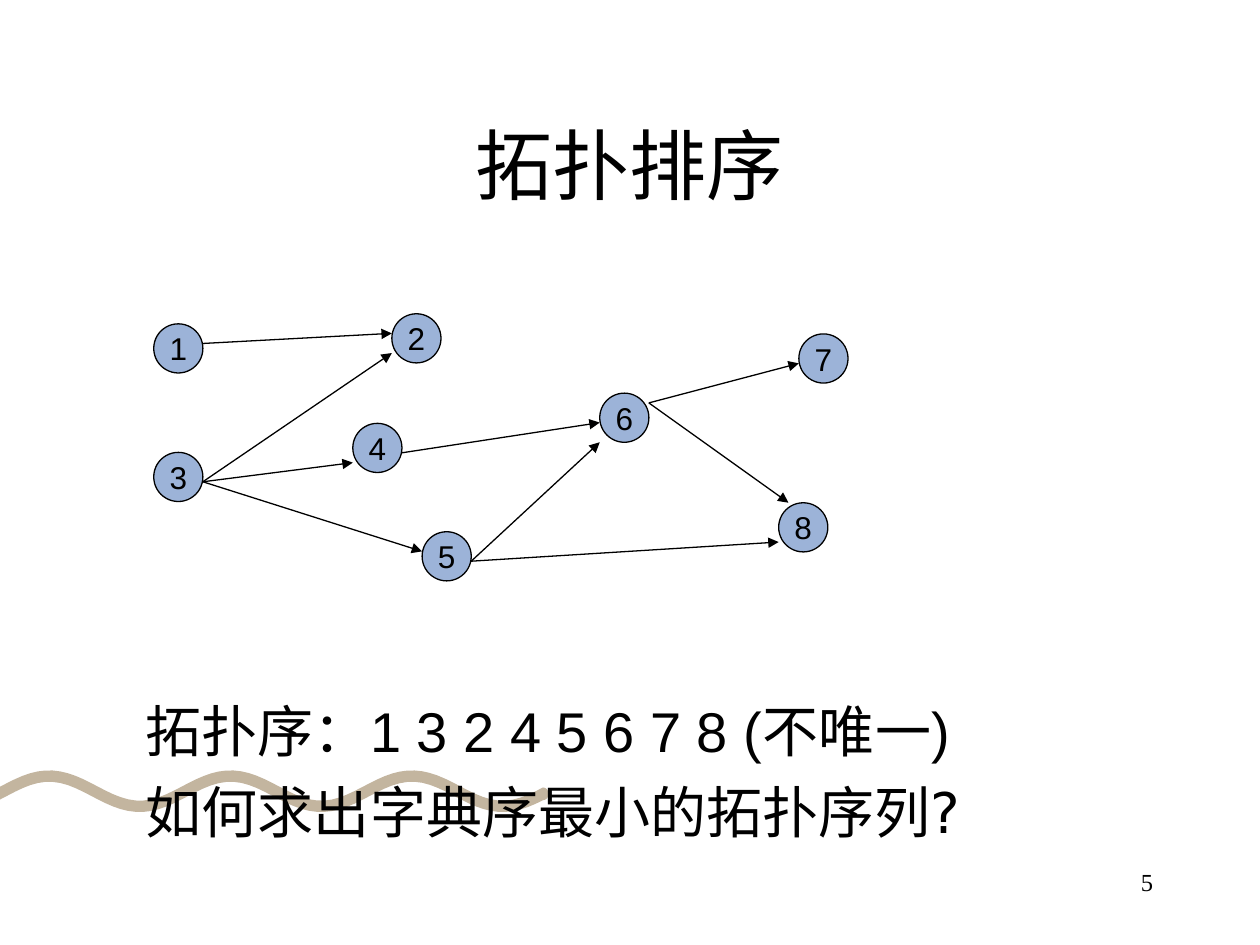
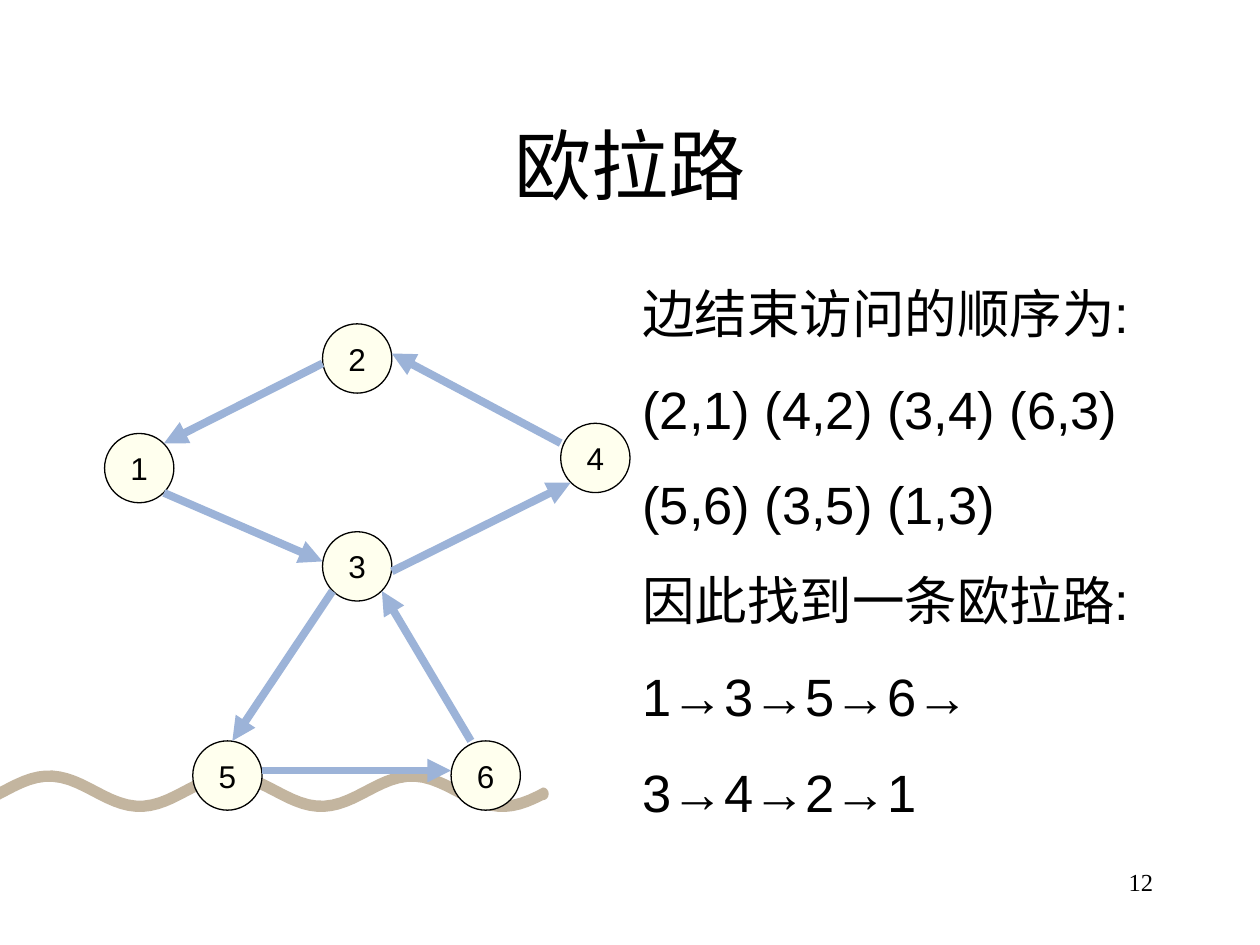
import math
from dataclasses import dataclass

from lxml import etree
from pptx import Presentation
from pptx.dml.color import RGBColor
from pptx.enum import shapes, text
from pptx.oxml import ns
from pptx.util import Inches, Pt

BLACK = RGBColor(0x00, 0x00, 0x00)
BLUE = RGBColor(0x9C, 0xB3, 0xD8)
CREAM = RGBColor(0xFF, 0xFF, 0xEE)
SAND = RGBColor(0xC3, 0xB5, 0x9F)

BODY_FONT = "Arial"
TITLE_FONT = "DejaVu Sans"
NUMBER_FONT = "Times New Roman"

# The wave is a cosine band; lengths in inches
WAVE_LEVEL = 6.28
WAVE_HEIGHT = 0.12
WAVE_PERIOD = 1.44
WAVE_CREST = 0.39
WAVE_END = 4.31
WAVE_HALF_WIDTH = 0.045
WAVE_STEPS = 72
CAP_STEPS = 8


@dataclass
class Graph:
    """A directed graph drawn as circles and arrows.

    nodes: label -> left and top of its circle, in inches.
    edges: (from, port, to, port); a port is a point of the circle's bounding
    square, counted right and down from its corner in steps of diameter / steps.
    """
    nodes: dict
    edges: list
    diameter: float
    steps: int
    node_color: RGBColor
    edge_color: RGBColor
    edge_width: float

    def port(self, label, port):
        step = self.diameter / self.steps
        return [corner + count * step for corner, count in zip(self.nodes[label], port)]


SORT_GRAPH = Graph(
    nodes={
        1: (1.22, 2.57), 2: (3.11, 2.49), 3: (1.22, 3.59), 4: (2.8, 3.36),
        5: (3.35, 4.22), 6: (4.76, 3.12), 7: (6.34, 2.65), 8: (6.18, 3.99),
    },
    edges=[
        (1, (5, 2), 2, (0, 2)),
        (3, (5, 3), 2, (0, 4)),
        (3, (5, 3), 4, (0, 4)),
        (3, (5, 3), 5, (0, 2)),
        (4, (5, 3), 6, (0, 3)),
        (5, (5, 3), 6, (0, 5)),
        (5, (5, 3), 8, (0, 4)),
        (6, (5, 1), 7, (0, 3)),
        (6, (5, 1), 8, (1, 0)),
    ],
    diameter=0.39, steps=5, node_color=BLUE, edge_color=BLACK, edge_width=0.75)

EULER_GRAPH = Graph(
    nodes={
        1: (0.83, 3.44), 2: (2.56, 2.57), 3: (2.56, 4.22),
        4: (4.45, 3.36), 5: (1.53, 5.88), 6: (3.58, 5.88),
    },
    edges=[
        (2, (0, 4), 1, (6, 1)),
        (4, (0, 2), 2, (7, 3)),
        (3, (7, 4), 4, (1, 6)),
        (1, (6, 6), 3, (0, 3)),
        (3, (1, 6), 5, (4, 0)),
        (5, (7, 3), 6, (0, 3)),
        (6, (2, 0), 3, (6, 6)),
    ],
    diameter=0.55, steps=7, node_color=CREAM, edge_color=BLUE, edge_width=4.5)


def inches(*lengths):
    return [Inches(length) for length in lengths]


def style(paragraph, size, font, align=text.PP_ALIGN.LEFT):
    paragraph.alignment = align
    for run in paragraph.runs:
        run.font.size = Pt(size)
        run.font.name = font
        run.font.color.rgb = BLACK


def add_lines(slide, box, lines, size, font=BODY_FONT, align=text.PP_ALIGN.LEFT,
              gap=0, anchor=text.MSO_ANCHOR.TOP):
    """Add a text box with one paragraph per line and return its paragraphs."""
    frame = slide.shapes.add_textbox(*inches(*box)).text_frame
    frame.word_wrap = True
    frame.vertical_anchor = anchor
    frame.text = "\n".join(lines)
    for index, paragraph in enumerate(frame.paragraphs):
        style(paragraph, size, font, align)
        if index:
            paragraph.space_before = Pt(gap)
    return frame.paragraphs


def wave_outline():
    """Return the band's points: upper edge, round right end, lower edge."""
    frequency = 2 * math.pi / WAVE_PERIOD
    upper, lower = [], []
    for step in range(WAVE_STEPS + 1):
        x = WAVE_END * step / WAVE_STEPS
        phase = frequency * (x - WAVE_CREST)
        middle = WAVE_LEVEL - WAVE_HEIGHT * math.cos(phase)
        slope = WAVE_HEIGHT * frequency * math.sin(phase)
        # A steep band needs more height to look equally thick
        half_height = WAVE_HALF_WIDTH * math.hypot(1, slope)
        upper.append((x, middle - half_height))
        lower.append((x, middle + half_height))

    cap = []
    for step in range(1, CAP_STEPS):
        angle = math.pi * (step / CAP_STEPS - 0.5)
        cap.append((WAVE_END + WAVE_HALF_WIDTH * math.cos(angle),
                    middle + half_height * math.sin(angle)))
    return upper + cap + lower[::-1]


def add_wave(slide):
    start, *rest = [inches(*point) for point in wave_outline()]
    builder = slide.shapes.build_freeform(*start, scale=1.0)
    builder.add_line_segments(rest, close=True)
    wave = builder.convert_to_shape()
    wave.shadow.inherit = False
    wave.fill.solid()
    wave.fill.fore_color.rgb = SAND
    wave.line.fill.background()


def add_base_slide(deck, title, number):
    """Add a slide with the wave, the title and the slide number."""
    slide = deck.slides.add_slide(deck.slide_layouts[6])
    add_wave(slide)
    add_lines(slide, (7.17, 6.83, 2.08, 0.5), [str(number)], 14, NUMBER_FONT,
              text.PP_ALIGN.RIGHT)
    add_lines(slide, (0.75, 0.67, 8.5, 1.25), [title], 44, TITLE_FONT,
              text.PP_ALIGN.CENTER, anchor=text.MSO_ANCHOR.MIDDLE)
    return slide


def add_node(slide, label, corner, diameter, color):
    node = slide.shapes.add_shape(shapes.MSO_SHAPE.OVAL,
                                  *inches(*corner, diameter, diameter))
    node.shadow.inherit = False
    node.fill.solid()
    node.fill.fore_color.rgb = color
    node.line.color.rgb = BLACK
    node.line.width = Pt(0.75)
    frame = node.text_frame
    frame.word_wrap = False
    frame.vertical_anchor = text.MSO_ANCHOR.MIDDLE
    frame.text = str(label)
    style(frame.paragraphs[0], 18, BODY_FONT, text.PP_ALIGN.CENTER)


def add_edge(slide, start, end, color, width):
    edge = slide.shapes.add_connector(shapes.MSO_CONNECTOR.STRAIGHT,
                                      *inches(*start, *end))
    edge.line.color.rgb = color
    edge.line.width = Pt(width)
    arrow = etree.SubElement(edge.line._get_or_add_ln(), ns.qn("a:tailEnd"))
    arrow.set("type", "triangle")
    etree.SubElement(edge._element.spPr, ns.qn("a:effectLst"))


def add_graph(slide, graph):
    for label, corner in graph.nodes.items():
        add_node(slide, label, corner, graph.diameter, graph.node_color)
    for source, exit_port, target, entry_port in graph.edges:
        add_edge(slide, graph.port(source, exit_port), graph.port(target, entry_port),
                 graph.edge_color, graph.edge_width)


def add_sort_slide(deck):
    slide = add_base_slide(deck, "拓扑排序", 5)
    add_graph(slide, SORT_GRAPH)
    _, question = add_lines(
        slide, (1.06, 5.48, 7.32, 2.09),
        ["拓扑序：1 3 2 4 5 6 7 8 (不唯一)", "如何求出字典序最小的拓扑序列?"], 32, gap=8)
    style(question, 32, TITLE_FONT)


def add_euler_slide(deck):
    slide = add_base_slide(deck, "欧拉路", 12)
    add_graph(slide, EULER_GRAPH)
    add_lines(slide, (5, 2.18, 4.41, 4.4), [
        "边结束访问的顺序为:",
        "(2,1) (4,2) (3,4) (6,3)",
        "(5,6) (3,5) (1,3)",
        "因此找到一条欧拉路:",
        "1→3→5→6→",
        "3→4→2→1",
    ], 30, gap=18.7)


def main():
    deck = Presentation()
    deck.slide_width, deck.slide_height = inches(10, 7.5)
    add_sort_slide(deck)
    add_euler_slide(deck)
    deck.save("out.pptx")


if __name__ == "__main__":
    main()
